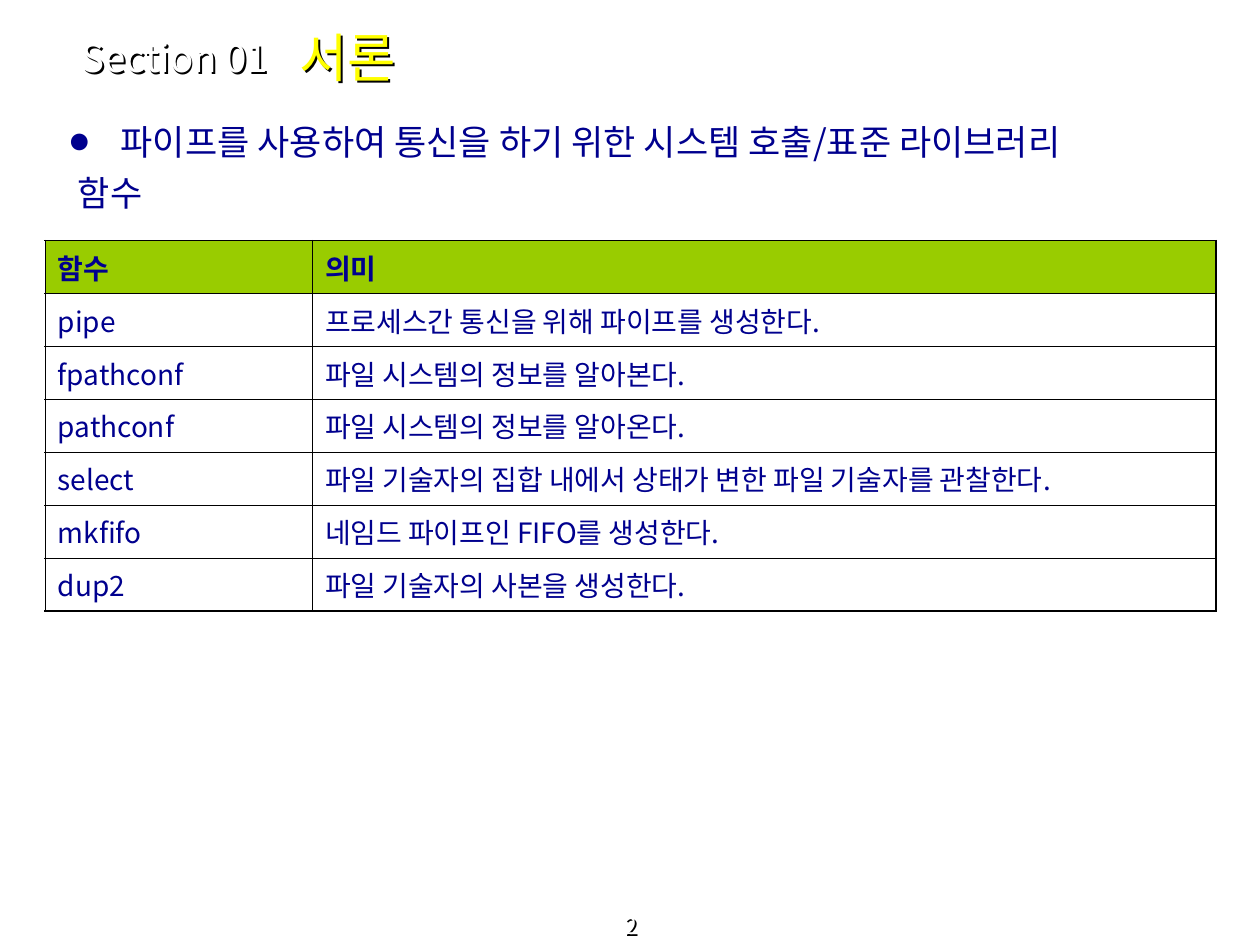
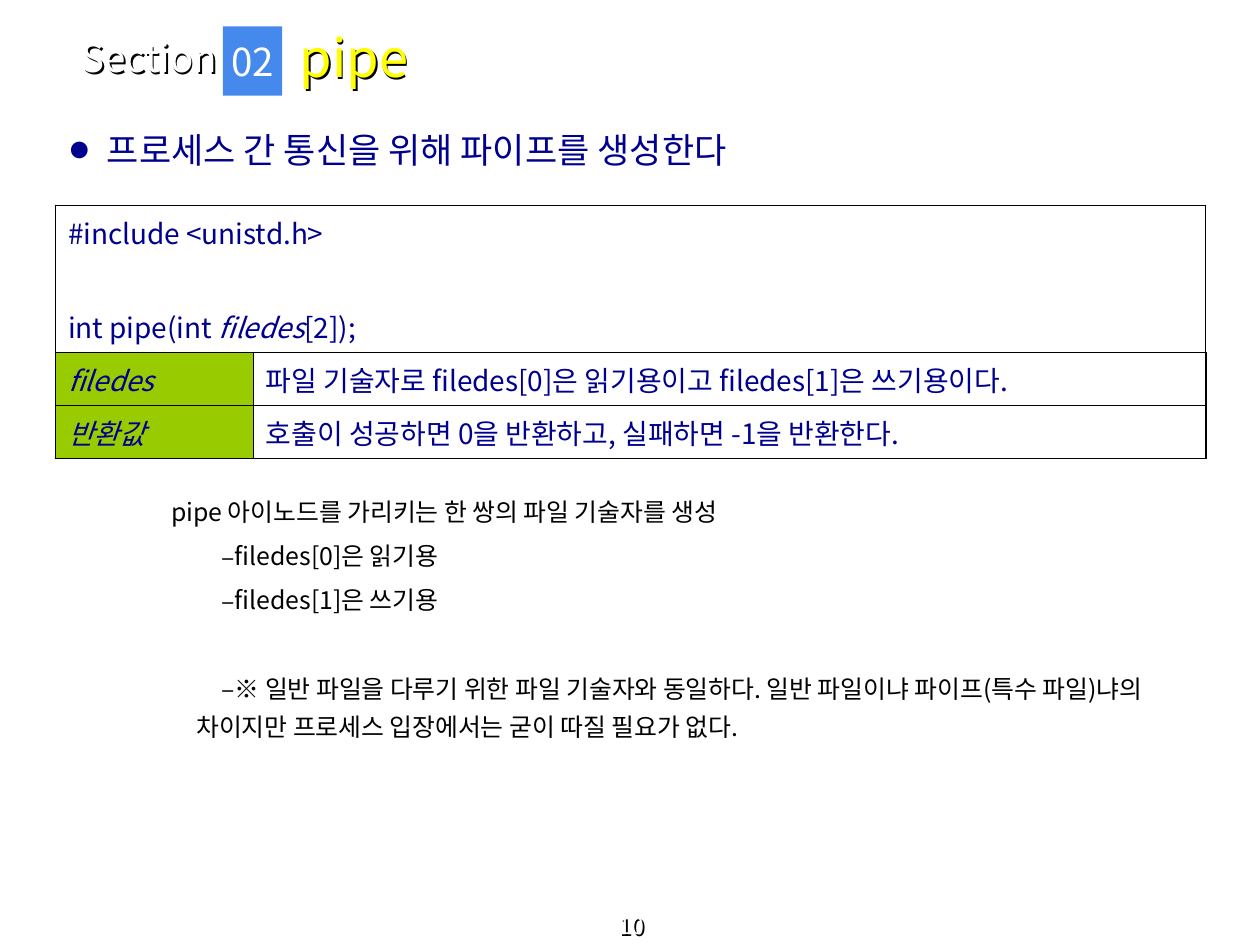
from lxml import etree
from pptx import Presentation
from pptx.dml.color import RGBColor
from pptx.enum.shapes import MSO_SHAPE
from pptx.enum.text import MSO_ANCHOR, PP_ALIGN
from pptx.oxml import parse_xml
from pptx.oxml.ns import nsdecls, qn
from pptx.util import Inches, Pt

FONT = "Noto Sans CJK KR"
NAVY = RGBColor(0x00, 0x00, 0x8E)
GREEN = RGBColor(0x99, 0xCC, 0x00)
YELLOW = RGBColor(0xFF, 0xFF, 0x00)
BLUE = RGBColor(0x45, 0x89, 0xED)
WHITE = RGBColor(0xFF, 0xFF, 0xFF)
BLACK = RGBColor(0x00, 0x00, 0x00)

SECTION = {"size": Pt(22), "color": WHITE}
TITLE = {"size": Pt(30), "color": YELLOW}
PAGE_NUMBER = {"size": Pt(13), "color": WHITE}
LEAD = {"size": Pt(20), "color": NAVY}
CELL = {"size": Pt(16), "color": NAVY}
HEADER = CELL | {"bold": True}
ITALIC = CELL | {"italic": True}
DETAIL = {"size": Pt(14.2), "color": BLACK}

OUTER, INNER = Pt(1.08), Pt(0.45)
ROW_HEIGHT = 0.42
BULLET_SCALE = {"●": 53000, "–": 100000}
TEXT_SHADOW = (
    f'<a:effectLst {nsdecls("a")}><a:outerShdw blurRad="0" dist="{Inches(0.02)}" dir="2700000" '
    'algn="tl" rotWithShape="0"><a:srgbClr val="000000"/></a:outerShdw></a:effectLst>')


def write(paragraph, text, style, layout=None, bullet=None, margin=0, indent=0):
    """Add one run with its font, and set the paragraph's spacing and bullet."""
    for name, value in (layout or {}).items():
        setattr(paragraph, name, value)
    if bullet:
        properties = paragraph._p.get_or_add_pPr()
        properties.set("marL", str(Inches(margin)))
        properties.set("indent", str(Inches(indent)))
        color = etree.SubElement(properties, qn("a:buClr"))
        etree.SubElement(color, qn("a:srgbClr"), val=str(style["color"]))
        etree.SubElement(properties, qn("a:buSzPct"), val=str(BULLET_SCALE[bullet]))
        etree.SubElement(properties, qn("a:buFont"), typeface=FONT)
        etree.SubElement(properties, qn("a:buChar"), char=bullet)
    run = paragraph.add_run()
    run.text = text
    for name, value in style.items():
        if name == "color":
            run.font.color.rgb = value
        else:
            setattr(run.font, name, value)
    run.font.name = FONT
    etree.SubElement(run._r.rPr, qn("a:ea"), typeface=FONT)


def add_grid(slide, left, top, column_widths, row_heights):
    """Add an unfilled table with a heavier outer frame."""
    rows, columns = len(row_heights), len(column_widths)
    grid = slide.shapes.add_table(
        rows, columns, Inches(left), Inches(top),
        Inches(sum(column_widths)), Inches(sum(row_heights))).table
    grid.first_row = grid.horz_banding = False
    for column, width in zip(grid.columns, column_widths):
        column.width = Inches(width)
    for r, height in enumerate(row_heights):
        grid.rows[r].height = Inches(height)
        for c in range(columns):
            cell = grid.cell(r, c)
            edges = {"lnL": c == 0, "lnR": c == columns - 1,
                     "lnT": r == 0, "lnB": r == rows - 1}
            properties = cell._tc.get_or_add_tcPr()
            for tag, is_outer in edges.items():
                line = etree.SubElement(properties, qn(f"a:{tag}"),
                                        w=str(OUTER if is_outer else INNER))
                fill = etree.SubElement(line, qn("a:solidFill"))
                etree.SubElement(fill, qn("a:srgbClr"), val=str(BLACK))
            cell.fill.background()
    return grid


presentation = Presentation()
presentation.slide_width, presentation.slide_height = Inches(10), Inches(7.5)

# Section label, title and page number on both slides, with a text shadow
slides = []
for section, title, page in [("Section 01", "서론", "2"), ("Section", "pipe", "10")]:
    slide = presentation.slides.add_slide(presentation.slide_layouts[6])
    slides.append(slide)
    for text, style, box, anchor, align in [
        (page, PAGE_NUMBER, (0.02, 7.28, 9.98, 0.22), MSO_ANCHOR.BOTTOM, PP_ALIGN.CENTER),
        (section, SECTION, (0.55, 0.27, 1.93, 0.37), MSO_ANCHOR.MIDDLE, PP_ALIGN.LEFT),
        (title, TITLE, (2.28, 0.11, 6.49, 0.68), MSO_ANCHOR.MIDDLE, PP_ALIGN.LEFT),
    ]:
        label = slide.shapes.add_textbox(*map(Inches, box))
        label._element.spPr.append(parse_xml(TEXT_SHADOW))
        frame = label.text_frame
        frame.word_wrap, frame.vertical_anchor = True, anchor
        write(frame.paragraphs[0], text, style, layout={"alignment": align})
intro, pipe = slides

# Introduction: lead sentence
lead = intro.shapes.add_textbox(Inches(0.33), Inches(0.91), Inches(9.33), Inches(0.95)).text_frame
lead.word_wrap = True
write(lead.paragraphs[0], "파이프를 사용하여 통신을 하기 위한 시스템 호출/표준 라이브러리", LEAD,
      bullet="●", margin=0.53, indent=-0.4)
lead_end = lead.add_paragraph()
lead_end._p.get_or_add_pPr().set("marL", str(Inches(0.19)))
write(lead_end, "함수", LEAD, layout={"space_before": Pt(5)})

# Introduction: function table
functions = [
    ("함수", "의미"),
    ("pipe", "프로세스간 통신을 위해 파이프를 생성한다."),
    ("fpathconf", "파일 시스템의 정보를 알아본다."),
    ("pathconf", "파일 시스템의 정보를 알아온다."),
    ("select", "파일 기술자의 집합 내에서 상태가 변한 파일 기술자를 관찰한다."),
    ("mkfifo", "네임드 파이프인 FIFO를 생성한다."),
    ("dup2", "파일 기술자의 사본을 생성한다."),
]
function_grid = add_grid(intro, 0.36, 1.91, [2.12, 7.17], [ROW_HEIGHT] * len(functions))
for r, row in enumerate(functions):
    for c, text in enumerate(row):
        cell = function_grid.cell(r, c)
        write(cell.text_frame.paragraphs[0], text, CELL if r else HEADER)
        if r == 0:
            cell.fill.solid()
            cell.fill.fore_color.rgb = GREEN

# pipe: explanation
details = pipe.shapes.add_textbox(Inches(1.26), Inches(3.83), Inches(8.39), Inches(2.12)).text_frame
details.word_wrap = True
write(details.paragraphs[0], "pipe 아이노드를 가리키는 한 쌍의 파일 기술자를 생성", DETAIL,
      layout={"line_spacing": 1.27})
for text, space in [
    ("filedes[0]은 읽기용", 3.5),
    ("filedes[1]은 쓰기용", 3.5),
    ("※ 일반 파일을 다루기 위한 파일 기술자와 동일하다. 일반 파일이냐 파이프(특수 파일)냐의 "
     "차이지만 프로세스 입장에서는 굳이 따질 필요가 없다.", 29),
]:
    write(details.add_paragraph(), text, DETAIL, bullet="–", margin=0.2, indent=0.2,
          layout={"level": 1, "line_spacing": 1.27, "space_before": Pt(space)})

# pipe: prototype, argument and return value
prototype_grid = add_grid(pipe, 0.44, 1.63, [1.57, 7.56], [1.17, ROW_HEIGHT, ROW_HEIGHT])
prototype_grid.cell(0, 0).merge(prototype_grid.cell(0, 1))
prototype = prototype_grid.cell(0, 0).text_frame
write(prototype.paragraphs[0], "#include <unistd.h>", CELL)
declaration = prototype.add_paragraph()
declaration.space_before = Pt(31)
for text, style in [("int pipe(int ", CELL), ("filedes", ITALIC), ("[2]);", CELL)]:
    write(declaration, text, style)
for r, (term, meaning) in enumerate([
    ("filedes", "파일 기술자로 filedes[0]은 읽기용이고 filedes[1]은 쓰기용이다."),
    ("반환값", "호출이 성공하면 0을 반환하고, 실패하면 -1을 반환한다."),
], start=1):
    term_cell = prototype_grid.cell(r, 0)
    term_cell.fill.solid()
    term_cell.fill.fore_color.rgb = GREEN
    write(term_cell.text_frame.paragraphs[0], term, ITALIC)
    write(prototype_grid.cell(r, 1).text_frame.paragraphs[0], meaning, CELL)

# pipe: section number badge
badge = pipe.shapes.add_shape(MSO_SHAPE.RECTANGLE, Inches(1.77), Inches(0.21), Inches(0.47), Inches(0.55))
badge.shadow.inherit = False
badge.fill.solid()
badge.fill.fore_color.rgb = BLUE
badge.line.fill.background()
badge.text_frame.word_wrap = False
badge.text_frame.vertical_anchor = MSO_ANCHOR.MIDDLE
write(badge.text_frame.paragraphs[0], "02", SECTION, layout={"alignment": PP_ALIGN.CENTER})

# pipe: lead sentence
pipe_lead = pipe.shapes.add_textbox(Inches(0.45), Inches(0.97), Inches(5.74), Inches(0.44)).text_frame
pipe_lead.word_wrap = False
write(pipe_lead.paragraphs[0], "프로세스 간 통신을 위해 파이프를 생성한다", LEAD,
      bullet="●", margin=0.3, indent=-0.29)

presentation.save("out.pptx")
